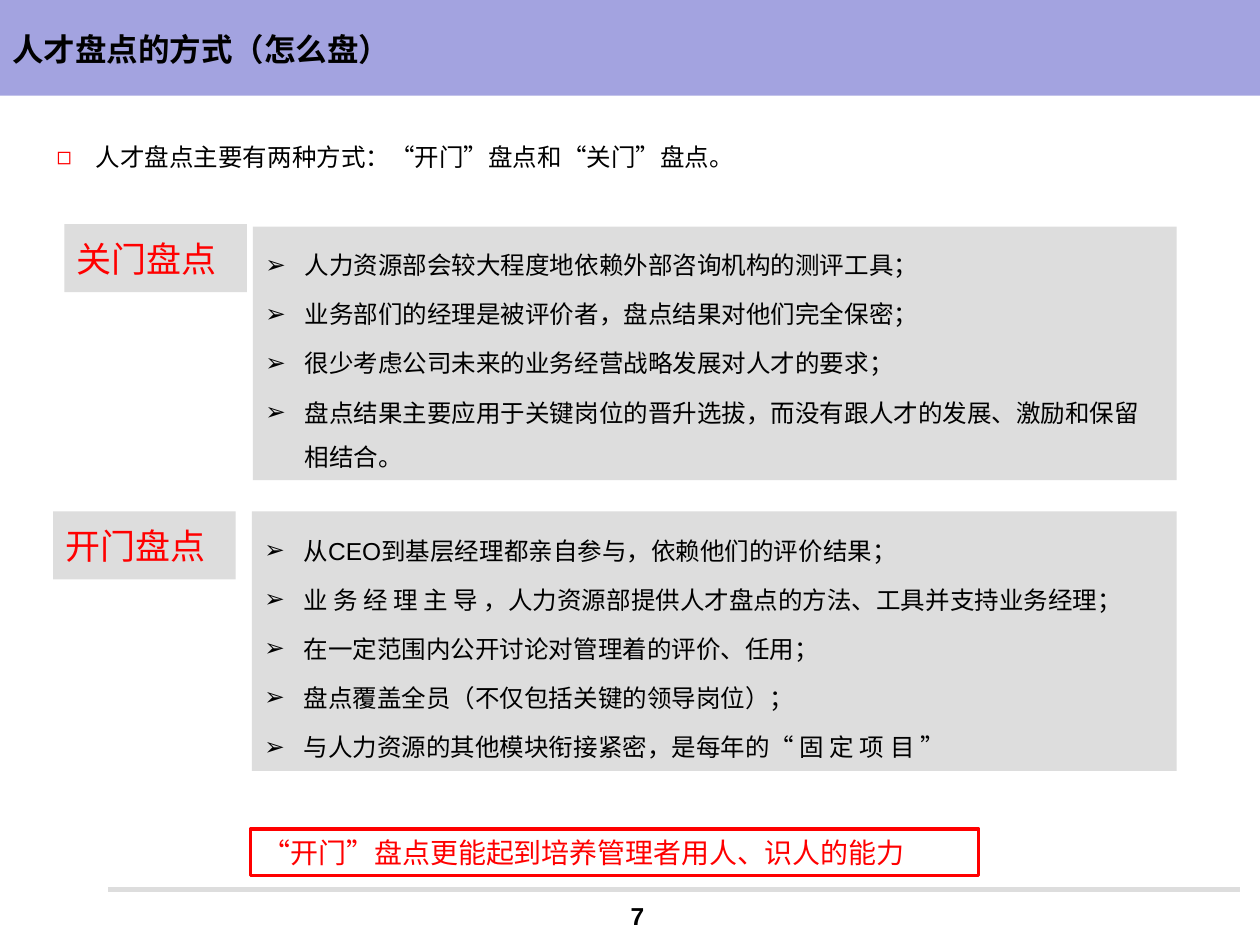
import pptx
import pptx.util
import pptx.dml.color
import pptx.enum.shapes
import pptx.enum.text
import pptx.oxml.ns
import lxml.etree
from dataclasses import dataclass

Cm = pptx.util.Cm
Pt = pptx.util.Pt
MIDDLE = pptx.enum.text.MSO_ANCHOR.MIDDLE
TOP = pptx.enum.text.MSO_ANCHOR.TOP
LEFT = pptx.enum.text.PP_ALIGN.LEFT
CENTER = pptx.enum.text.PP_ALIGN.CENTER


@dataclass(frozen=True)
class Theme:
    banner: str = "A3A3E0"
    panel: str = "DDDDDD"
    paper: str = "FFFFFF"
    ink: str = "000000"
    accent: str = "FF0000"
    latin: str = "Arial"
    chinese: str = "Noto Sans CJK SC"
    title: int = 18
    body: int = 14
    label: int = 20
    conclusion: int = 16


THEME = Theme()


def rgb(value):
    return pptx.dml.color.RGBColor.from_string(value)


def add_child(parent, tag, **attributes):
    return lxml.etree.SubElement(parent, pptx.oxml.ns.qn(tag), attributes)


def add_box(slide, box, fill=None, outline=None):
    rectangle = slide.shapes.add_shape(
        pptx.enum.shapes.MSO_SHAPE.RECTANGLE, *map(Cm, box))
    rectangle.shadow.inherit = False
    if fill:
        rectangle.fill.solid()
        rectangle.fill.fore_color.rgb = rgb(fill)
    else:
        rectangle.fill.background()
    if outline:
        rectangle.line.color.rgb = rgb(outline)
        rectangle.line.width = Pt(2)
    else:
        rectangle.line.fill.background()
    return rectangle


def write(shape, lines, size, color, bold=False, align=LEFT, anchor=MIDDLE,
          latin=THEME.latin, before=0):
    frame = shape.text_frame
    frame.word_wrap = True
    frame.vertical_anchor = anchor
    frame.text = "\n".join(lines)
    for paragraph in frame.paragraphs:
        paragraph.alignment = align
        paragraph.space_before = Pt(before)
        for run in paragraph.runs:
            run.font.name = latin
            run.font.size = Pt(size)
            run.font.bold = bold
            run.font.color.rgb = rgb(color)
            add_child(run.font._element, "a:ea", typeface=THEME.chinese)


def add_bullets(shape, mark, color):
    for paragraph in shape.text_frame.paragraphs:
        paragraph.line_spacing = 1.5
        properties = paragraph._p.get_or_add_pPr()
        properties.set("marL", str(Cm(0.79)))
        properties.set("indent", str(-Cm(0.79)))
        add_child(add_child(properties, "a:buClr"), "a:srgbClr", val=color)
        add_child(properties, "a:buFont", typeface=THEME.latin)
        add_child(properties, "a:buChar", char=mark)


def add_header(slide, box, title):
    left, top, width, height = box
    add_box(slide, box, THEME.banner)
    heading = slide.shapes.add_textbox(
        Cm(left), Cm(top + 0.2), Cm(width - 0.84), Cm(height - 0.35))
    write(heading, [title], THEME.title, THEME.ink, bold=True, latin=THEME.chinese)


def add_introduction(slide, box, sentence):
    introduction = slide.shapes.add_textbox(*map(Cm, box))
    write(introduction, [sentence], THEME.body, THEME.ink, anchor=TOP)
    add_bullets(introduction, "◻", THEME.accent)


def add_method(slide, box, label_offset, name, points):
    left, top, width, height = box
    shift, rise = label_offset
    label = add_box(slide, (left + shift, top + rise, 3.68, 1.37), THEME.panel)
    write(label, [name], THEME.label, THEME.accent, before=4)
    panel = add_box(slide, box, THEME.panel)
    write(panel, points, THEME.body, THEME.ink, before=2.8)
    add_bullets(panel, "➢", THEME.ink)


def add_conclusion(slide, box, sentence):
    conclusion = add_box(slide, box, THEME.paper, THEME.accent)
    write(conclusion, [sentence], THEME.conclusion, THEME.accent, anchor=TOP)


def add_footer(slide, box, number):
    left, top, width, height = box
    rule = slide.shapes.add_connector(
        pptx.enum.shapes.MSO_CONNECTOR.STRAIGHT,
        Cm(left), Cm(top), Cm(left + width), Cm(top))
    rule.line.color.rgb = rgb(THEME.panel)
    rule.line.width = Pt(2.75)
    add_child(rule._element.spPr, "a:effectLst")
    page_number = slide.shapes.add_textbox(
        Cm(left + 9.73), Cm(top + 0.08), Cm(1.88), Cm(height))
    write(page_number, [number], THEME.body, THEME.ink, bold=True, align=CENTER)


deck = pptx.Presentation()
deck.slide_width, deck.slide_height = Cm(25.4), Cm(19.05)
slide = deck.slides.add_slide(deck.slide_layouts[6])

add_header(slide, (0, 0, 25.4, 1.93), "人才盘点的方式（怎么盘）")
add_footer(slide, (2.18, 17.93, 22.81, 0.89), "7")
add_introduction(slide, (0.89, 2.44, 23.01, 1.04),
                 "人才盘点主要有两种方式：“开门”盘点和“关门”盘点。")
add_conclusion(slide, (5.05, 16.71, 14.68, 0.94),
               "“开门”盘点更能起到培养管理者用人、识人的能力")
add_method(slide, (5.1, 4.57, 18.62, 5.11), (-3.8, -0.05), "关门盘点", [
    "人力资源部会较大程度地依赖外部咨询机构的测评工具；",
    "业务部们的经理是被评价者，盘点结果对他们完全保密；",
    "很少考虑公司未来的业务经营战略发展对人才的要求；",
    "盘点结果主要应用于关键岗位的晋升选拔，而没有跟人才的发展、激励和保留相结合。",
])
add_method(slide, (5.08, 10.31, 18.64, 5.23), (-4.01, 0), "开门盘点", [
    "从CEO到基层经理都亲自参与，依赖他们的评价结果；",
    "业 务 经 理 主 导 ，人力资源部提供人才盘点的方法、工具并支持业务经理；",
    "在一定范围内公开讨论对管理着的评价、任用；",
    "盘点覆盖全员（不仅包括关键的领导岗位）；",
    "与人力资源的其他模块衔接紧密，是每年的“ 固 定 项 目 ”",
])

deck.save("out.pptx")
